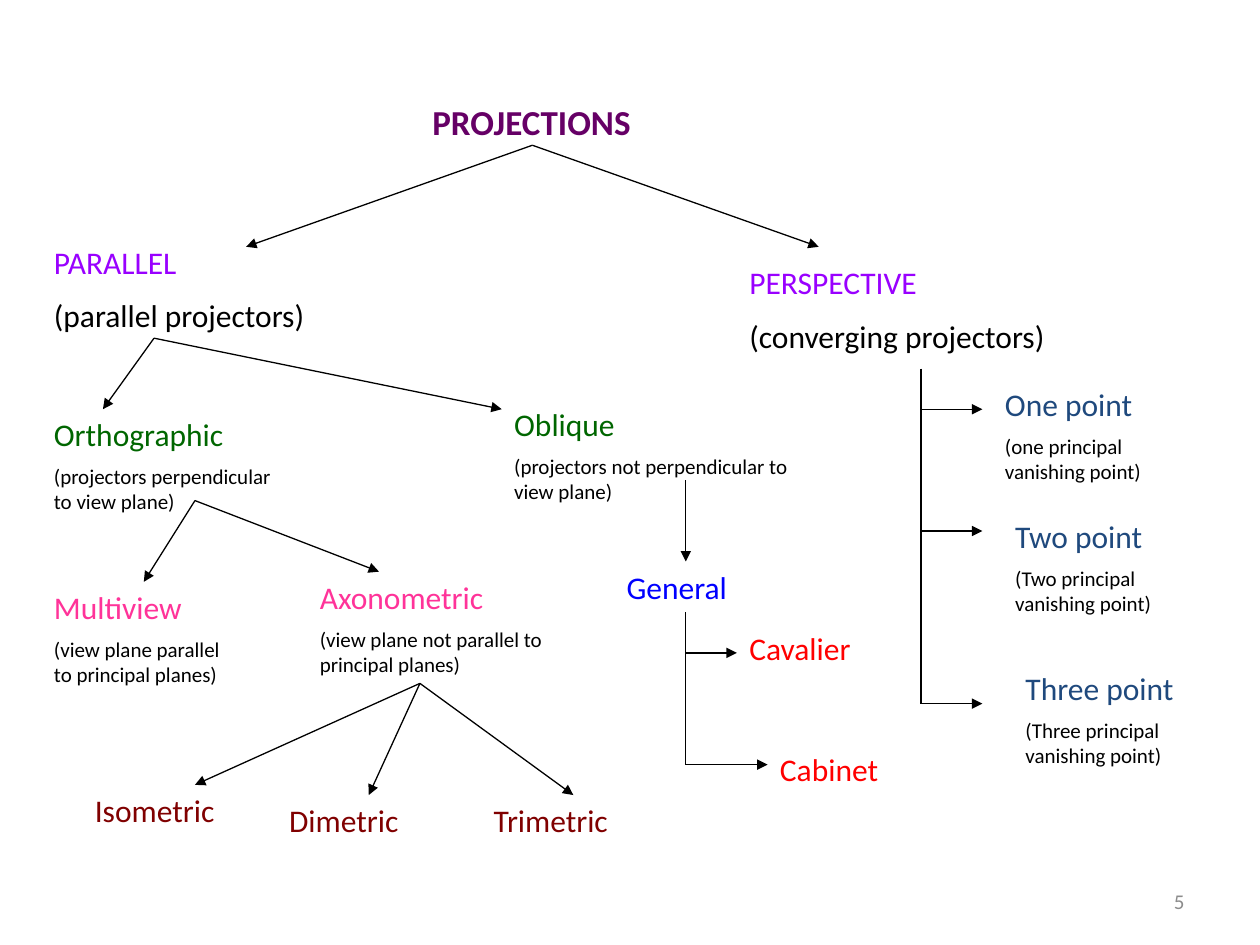
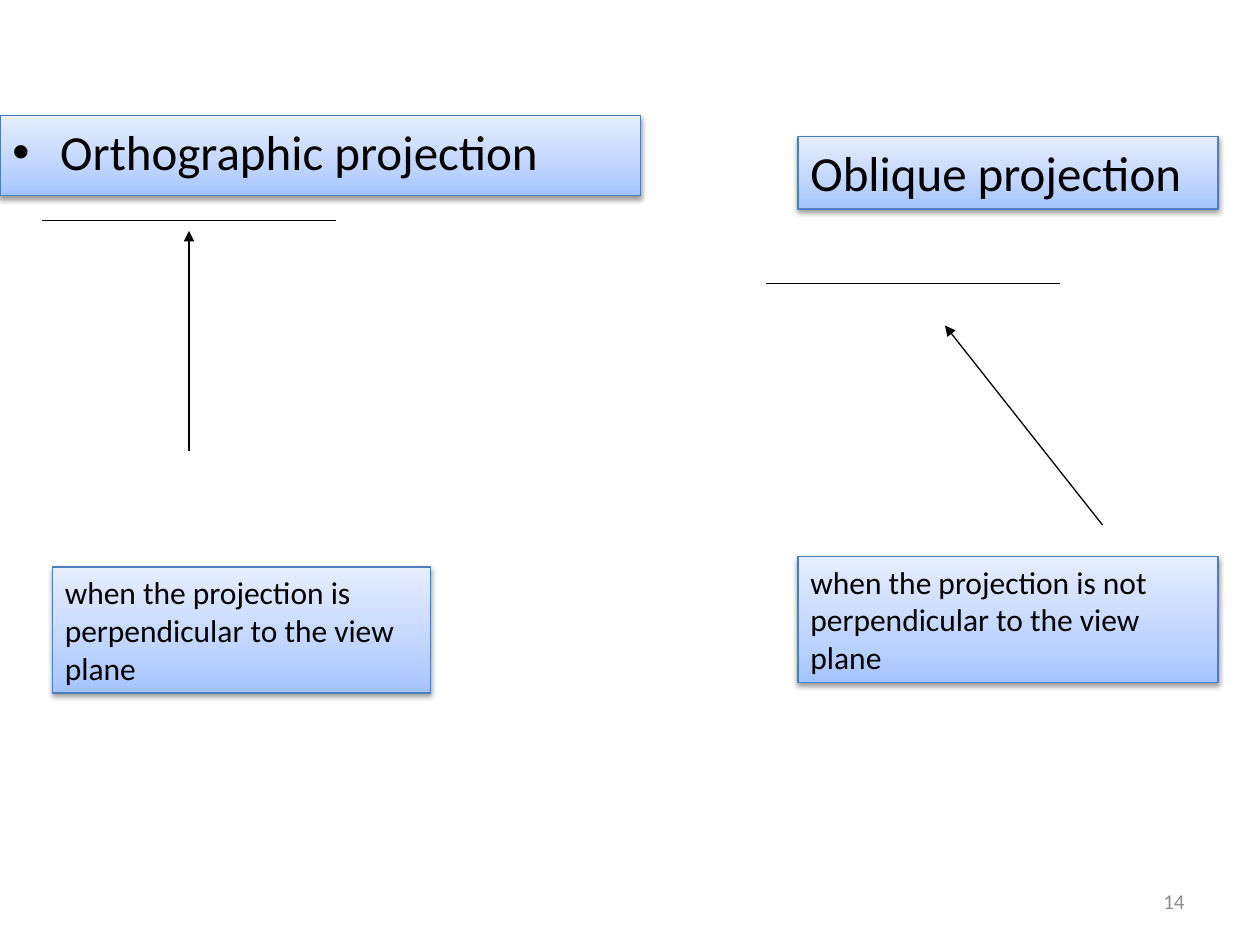
from dataclasses import dataclass

from lxml import etree
from pptx import Presentation
from pptx.dml.color import RGBColor
from pptx.enum.shapes import MSO_CONNECTOR, MSO_SHAPE
from pptx.enum.text import MSO_ANCHOR, PP_ALIGN
from pptx.oxml.ns import qn
from pptx.util import Emu, Inches, Pt

STRAIGHT = MSO_CONNECTOR.STRAIGHT
RECTANGLE = MSO_SHAPE.RECTANGLE
TOP, MIDDLE = MSO_ANCHOR.TOP, MSO_ANCHOR.MIDDLE
LEFT, RIGHT = PP_ALIGN.LEFT, PP_ALIGN.RIGHT


@dataclass(frozen=True)
class Theme:
    """Colours, type sizes and line widths of the deck."""
    font: str = "Calibri"
    ink: str = "000000"
    root: str = "660066"
    family: str = "9900FF"
    kind: str = "006600"
    view: str = "FF3399"
    axis: str = "800000"
    point: str = "1F497D"
    general: str = "0000FF"
    oblique: str = "FF0000"
    number: str = "8C8C8C"
    panel_line: str = "4B7EBC"
    panel_stops: tuple = ((0, "A4C4FF"), (35, "BFD4FF"), (100, "E6EEFF"))
    heading_size: float = 28
    root_size: float = 20
    label_size: float = 18
    small_size: float = 12
    line_width: float = 0.75


@dataclass(frozen=True)
class Grid:
    """Origin and cell size, in inches."""
    left: float
    top: float
    column: float
    row: float

    def point(self, column, row):
        """Slide position of a grid crossing."""
        return (Inches(self.left + column * self.column),
                Inches(self.top + row * self.row))

    def size(self, columns, rows):
        """Width and height of a block of cells."""
        return Inches(columns * self.column), Inches(rows * self.row)


TREE_GRID = Grid(0.33, 0.75, (8.04 - 0.33) / 95, (6.31 - 0.75) / 69)
TWELFTHS = Grid(0, 0, 1 / 12, 1 / 12)


def add_node(parent, tag, **attributes):
    """Append a DrawingML element with the given attributes."""
    node = etree.SubElement(parent, qn(tag))
    for name, value in attributes.items():
        node.set(name, str(value))
    return node


class Painter:
    """Holds the style and the current slide, and draws on it."""

    def __init__(self, deck, theme):
        self.deck, self.theme = deck, theme
        self.page = self.grid = None

    def new_page(self, grid, number):
        """Start a blank slide with its page number."""
        self.page = self.deck.slides.add_slide(self.deck.slide_layouts[6])
        self.grid = TWELFTHS
        box = self.text_box(86, 83.4, 28, 4.8)
        self.fill_text(box,
                       [(number, self.theme.small_size, self.theme.number)],
                       align=RIGHT, anchor=MIDDLE)
        self.grid = grid

    def text_box(self, column, row, columns, rows):
        """Add an empty text box on the grid."""
        return self.page.shapes.add_textbox(
            *self.grid.point(column, row), *self.grid.size(columns, rows))

    def fill_text(self, box, lines, bold=False, align=LEFT, anchor=TOP):
        """Fill a box with (text, size, colour) paragraphs."""
        frame = box.text_frame
        frame.word_wrap = True
        frame.vertical_anchor = anchor
        frame.text = "\n".join(text for text, _, _ in lines)
        for index, (para, (_, size, colour)) in enumerate(
                zip(frame.paragraphs, lines)):
            para.alignment = align
            if index:
                para.space_before = Pt(size / 2)
            font = para.runs[0].font
            font.name, font.size, font.bold = self.theme.font, Pt(size), bold
            font.color.rgb = RGBColor.from_string(colour)

    def label(self, column, row, columns, text, colour, note=None,
              note_size=None):
        """Add a tree label, with an explanation below it if given."""
        lines = [(text, self.theme.label_size, colour)]
        if note:
            lines.append((note, note_size or self.theme.small_size,
                          self.theme.ink))
        self.fill_text(
            self.text_box(column, row, columns, 10 if note else 5), lines)

    def root(self, column, row, columns, text):
        """Add the bold label at the top of the tree."""
        self.fill_text(self.text_box(column, row, columns, 5),
                       [(text, self.theme.root_size, self.theme.root)],
                       bold=True)

    def line(self, start, end, arrow=False):
        """Draw a thin line between two grid points."""
        line = self.page.shapes.add_connector(
            STRAIGHT, *self.grid.point(*start), *self.grid.point(*end))
        line.line.color.rgb = RGBColor.from_string(self.theme.ink)
        line.line.width = Pt(self.theme.line_width)
        properties = line._element.spPr
        if arrow:
            add_node(properties.find(qn("a:ln")), "a:tailEnd",
                     type="triangle")
        add_node(properties, "a:effectLst")

    def fan(self, start, *ends):
        """Draw arrows from one point to several."""
        for end in ends:
            self.line(start, end, arrow=True)

    def bracket(self, column, top, branches):
        """Draw a vertical stem with an arrow to each (column, row) end."""
        self.line((column, top), (column, max(row for _, row in branches)))
        for end, row in branches:
            self.line((column, row), (end, row), arrow=True)

    def panel(self, column, row, columns, rows, text, size, bullet=False):
        """Add a shaded rectangle with a soft shadow and text."""
        theme = self.theme
        box = self.page.shapes.add_shape(
            RECTANGLE, *self.grid.point(column, row),
            *self.grid.size(columns, rows))
        box.line.color.rgb = RGBColor.from_string(theme.panel_line)
        box.line.width = Pt(theme.line_width)
        box.fill.gradient()
        box.fill.gradient_angle = 90
        properties = box._element.spPr
        stops = properties.find(".//" + qn("a:gsLst"))
        for stop in list(stops):
            stops.remove(stop)
        for position, colour in theme.panel_stops:
            stop = add_node(stops, "a:gs", pos=position * 1000)
            add_node(stop, "a:srgbClr", val=colour)
        box.shadow.inherit = False
        shadow = add_node(properties.find(qn("a:effectLst")), "a:outerShdw",
                          blurRad=Pt(3.1), dist=Pt(1.6), dir=90 * 60000,
                          rotWithShape=0)
        shade = add_node(shadow, "a:srgbClr", val=theme.ink)
        add_node(shade, "a:alpha", val=38000)
        self.fill_text(box, [(text, size, theme.ink)])
        if bullet:
            self.add_bullet(box.text_frame.paragraphs[0])

    def add_bullet(self, para):
        """Give a paragraph a round bullet and a hanging indent."""
        indent = Inches(0.38)
        properties = para._p.get_or_add_pPr()
        properties.set("marL", str(indent))
        properties.set("indent", str(Emu(-indent)))
        add_node(properties, "a:buFont", typeface="Arial")
        add_node(properties, "a:buChar", char="•")


def draw_tree(painter):
    """Draw the classification of projections."""
    theme = painter.theme
    painter.new_page(TREE_GRID, "5")
    painter.root(37, 0, 27, "PROJECTIONS")
    painter.fan((48, 5), (20, 15), (76, 15))
    for column, row, columns, text, note in (
            (0, 14, 29, "PARALLEL ", "(parallel projectors)"),
            (68, 16, 34, "PERSPECTIVE", "(converging projectors)")):
        painter.label(column, row, columns, text, theme.family, note,
                      theme.label_size)

    painter.bracket(86, 27, [(92, 31), (92, 43), (92, 60)])
    for column, row, count, note in ((93, 28, "One", "one"),
                                     (94, 41, "Two", "Two"),
                                     (95, 56, "Three", "Three")):
        painter.label(column, row, 18, f"{count} point", theme.point,
                      f"({note} principal vanishing point)")

    painter.fan((11, 24), (6, 31), (45, 31))
    painter.label(0, 31, 25, "Orthographic", theme.kind,
                  "(projectors perpendicular to view plane)")
    painter.label(45, 30, 33, "Oblique", theme.kind,
                  "(projectors not perpendicular to view plane)")

    painter.fan((63, 38), (63, 46))
    painter.label(56, 46, 16, "General", theme.general)
    painter.bracket(63, 51, [(68, 55), (71, 66)])
    painter.label(68, 52, 15, "Cavalier", theme.oblique)
    painter.label(71, 64, 14, "Cabinet", theme.oblique)

    painter.fan((15, 40), (10, 48), (33, 47))
    painter.label(0, 48, 20, "Multiview", theme.view,
                  "(view plane parallel to principal planes)")
    painter.label(26, 47, 25, "Axonometric", theme.view,
                  "(view plane not parallel to principal planes)")

    painter.fan((37, 58), (15, 68), (32, 69), (52, 69))
    for column, row, text in ((4, 68, "Isometric"), (23, 69, "Dimetric"),
                              (43, 69, "Trimetric")):
        painter.label(column, row, 16, text, theme.axis)


def draw_comparison(painter):
    """Compare orthographic and oblique projection."""
    theme = painter.theme
    painter.new_page(TWELFTHS, "14")
    painter.line((4, 21), (32, 21))
    painter.line((18, 43), (18, 22), arrow=True)
    painter.line((73, 27), (101, 27))
    painter.line((105, 50), (90, 31), arrow=True)
    painter.panel(5, 54, 36, 12, "when the projection is perpendicular "
                  "to the view plane", theme.label_size)
    painter.panel(76, 53, 40, 12, "when the projection is not perpendicular "
                  "to the view plane", theme.label_size)
    painter.panel(0, 11, 61, 7.6, "Orthographic projection",
                  theme.heading_size, bullet=True)
    painter.panel(76, 13, 40, 6.9, "Oblique projection", theme.heading_size)


def main():
    """Build and save the deck."""
    deck = Presentation()
    deck.slide_width, deck.slide_height = Inches(10), Inches(7.5)
    painter = Painter(deck, Theme())
    draw_tree(painter)
    draw_comparison(painter)
    deck.save("out.pptx")


main()
